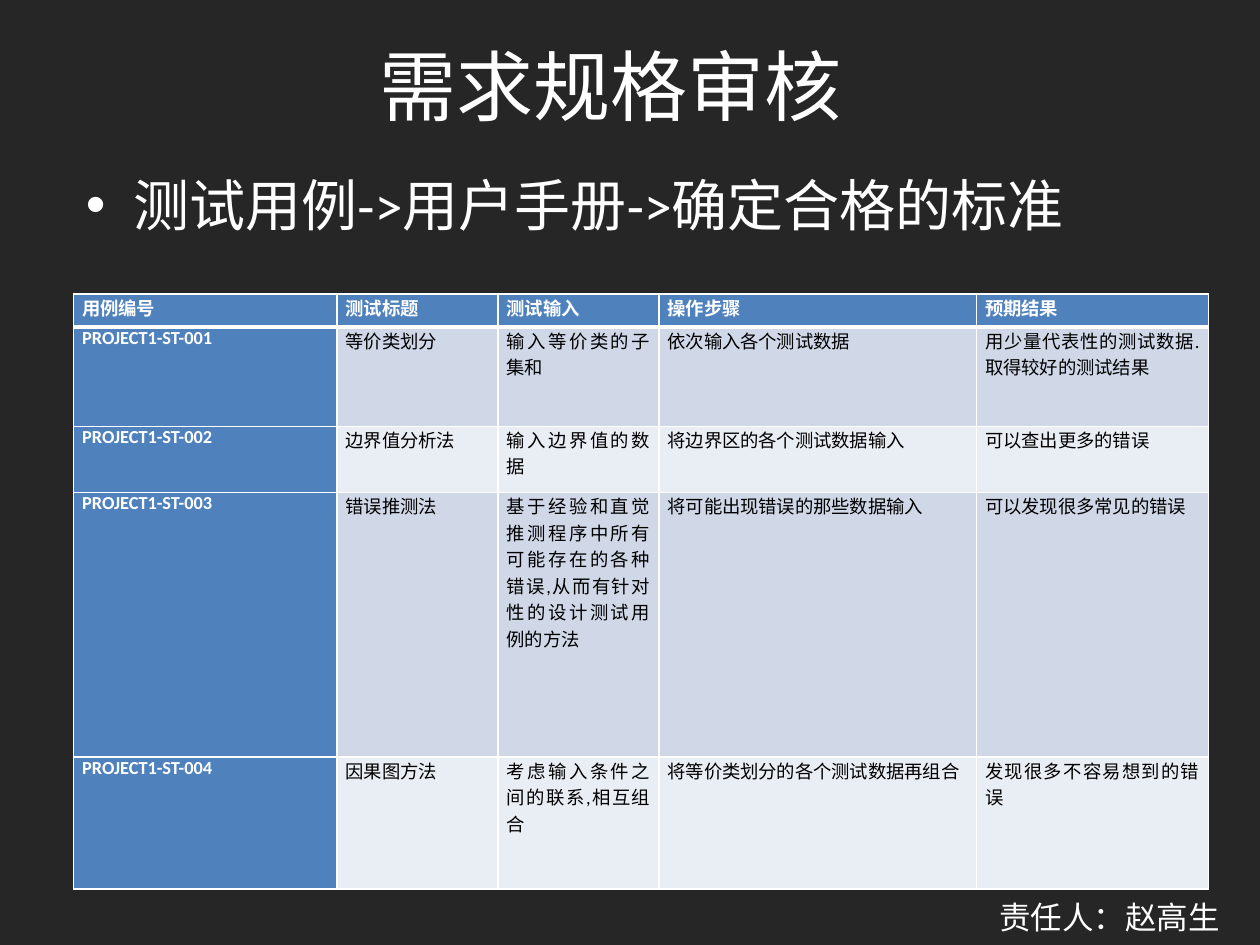
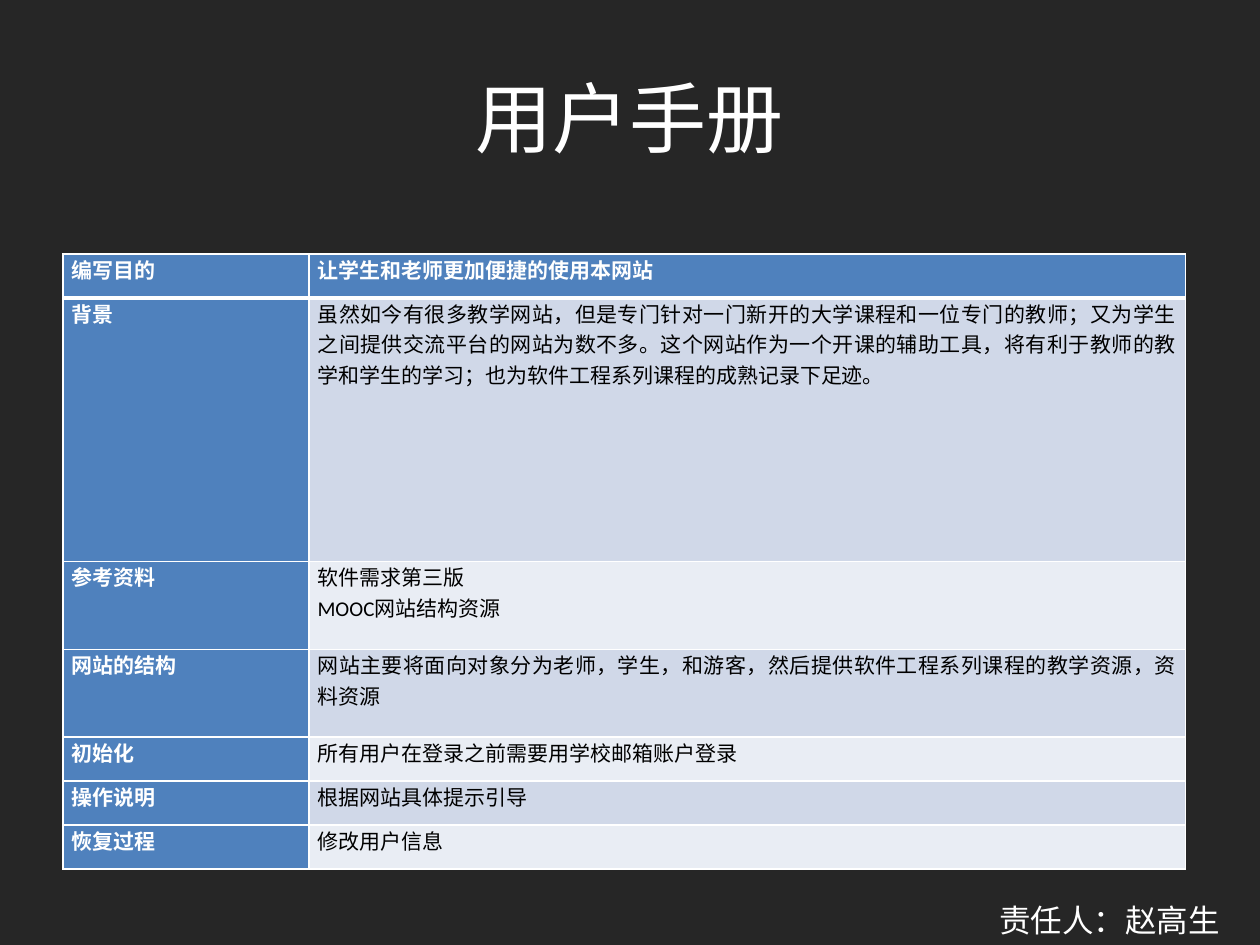
from dataclasses import dataclass

from lxml import etree
from pptx import Presentation
from pptx.dml.color import RGBColor
from pptx.enum.text import MSO_ANCHOR, PP_ALIGN
from pptx.oxml.ns import qn
from pptx.presentation import Presentation as Deck
from pptx.slide import Slide
from pptx.table import _Cell as Cell
from pptx.text.text import TextFrame
from pptx.util import Pt

CENTER = PP_ALIGN.CENTER
LEFT = PP_ALIGN.LEFT
JUSTIFY = PP_ALIGN.JUSTIFY
MIDDLE = MSO_ANCHOR.MIDDLE
TOP = MSO_ANCHOR.TOP


@dataclass(frozen=True)
class Theme:
    font: str = "Calibri"
    background: str = "262626"
    light_text: str = "FFFFFF"
    dark_text: str = "000000"
    border: str = "FFFFFF"
    heading_fill: str = "4F81BD"
    band_fills: tuple[str, str] = ("D0D8E8", "E9EDF4")
    title_size: float = 44
    body_size: float = 32
    footer_size: float = 18
    thin_line: float = 1
    thick_line: float = 3
    cell_margin: float = 5


THEME = Theme()


@dataclass(frozen=True)
class Label:
    """A line of light text with its place in points."""
    text: str
    left: float
    top: float
    width: float
    height: float
    size: float
    align: PP_ALIGN = LEFT
    anchor: MSO_ANCHOR = TOP


@dataclass(frozen=True)
class Grid:
    """A table whose row heights are whole multiples of one unit."""
    left: float
    top: float
    columns: list[float]
    row_unit: float
    row_units: list[int]
    text_size: float
    rows: list[list[str]]


def title(text: str, left: float, top: float) -> Label:
    return Label(text, left, top, 648, 90, THEME.title_size, CENTER, MIDDLE)


def footer(top: float) -> Label:
    return Label("责任人：赵高生", 564, top, 165.6, 29, THEME.footer_size)


def format_text(frame: TextFrame, size: float, color: str, align: PP_ALIGN,
                bold: bool = False) -> None:
    for para in frame.paragraphs:
        para.alignment = align
        for span in para.runs:
            span.font.name = THEME.font
            span.font.size = Pt(size)
            span.font.bold = bold
            span.font.color.rgb = RGBColor.from_string(color)


def add_label(page: Slide, label: Label) -> TextFrame:
    box = page.shapes.add_textbox(Pt(label.left), Pt(label.top),
                                  Pt(label.width), Pt(label.height))
    frame = box.text_frame
    frame.word_wrap = True
    frame.vertical_anchor = label.anchor
    frame.text = label.text
    format_text(frame, label.size, THEME.light_text, label.align)
    return frame


def add_bullet(frame: TextFrame, indent: float) -> None:
    for para in frame.paragraphs:
        properties = para._p.get_or_add_pPr()
        properties.set("marL", str(Pt(indent)))
        properties.set("indent", str(-Pt(indent)))
        font = etree.SubElement(properties, qn("a:buFont"))
        font.set("typeface", "Arial")
        etree.SubElement(properties, qn("a:buChar")).set("char", "•")


def set_borders(cell: Cell, top: float, bottom: float) -> None:
    widths = {"a:lnL": THEME.thin_line, "a:lnR": THEME.thin_line,
              "a:lnT": top, "a:lnB": bottom}
    properties = cell._tc.get_or_add_tcPr()
    for tag, width in widths.items():
        line = etree.SubElement(properties, qn(tag))
        line.set("w", str(Pt(width)))
        fill = etree.SubElement(line, qn("a:solidFill"))
        etree.SubElement(fill, qn("a:srgbClr")).set("val", THEME.border)


def style_cell(cell: Cell, row: int, column: int, size: float) -> None:
    """Make the first row and column headings and band the other cells."""
    is_heading = row == 0 or column == 0
    set_borders(cell,
                THEME.thick_line if row == 1 else THEME.thin_line,
                THEME.thick_line if row == 0 else THEME.thin_line)
    fill = THEME.heading_fill if is_heading else THEME.band_fills[(row - 1) % 2]
    cell.fill.solid()
    cell.fill.fore_color.rgb = RGBColor.from_string(fill)
    cell.margin_left = cell.margin_right = Pt(THEME.cell_margin)
    cell.margin_top = cell.margin_bottom = Pt(0)
    color = THEME.light_text if is_heading else THEME.dark_text
    format_text(cell.text_frame, size, color, JUSTIFY, is_heading)


def add_grid(page: Slide, grid: Grid) -> None:
    frame = page.shapes.add_table(
        len(grid.rows), len(grid.columns), Pt(grid.left), Pt(grid.top),
        Pt(sum(grid.columns)), Pt(grid.row_unit * sum(grid.row_units)))
    table = frame.table
    table.first_row = table.horz_banding = False
    for column, width in zip(table.columns, grid.columns):
        column.width = Pt(width)
    for row, units in zip(table.rows, grid.row_units):
        row.height = Pt(grid.row_unit * units)
    for row_index, texts in enumerate(grid.rows):
        for column_index, text in enumerate(texts):
            cell = table.cell(row_index, column_index)
            cell.text_frame.text = text
            style_cell(cell, row_index, column_index, grid.text_size)


TEST_CASES = Grid(
    42, 168, [150.5, 92, 92, 181.5, 132.5], 18.9, [1, 3, 2, 8, 4], 10.5,
    [
        ["用例编号", "测试标题", "测试输入", "操作步骤", "预期结果"],
        ["PROJECT1-ST-001", "等价类划分", "输入等价类的子集和",
         "依次输入各个测试数据", "用少量代表性的测试数据.取得较好的测试结果"],
        ["PROJECT1-ST-002", "边界值分析法", "输入边界值的数据",
         "将边界区的各个测试数据输入", "可以查出更多的错误"],
        ["PROJECT1-ST-003", "错误推测法",
         "基于经验和直觉推测程序中所有可能存在的各种错误,从而有针对性的设计测试用例的方法",
         "将可能出现错误的那些数据输入", "可以发现很多常见的错误"],
        ["PROJECT1-ST-004", "因果图方法", "考虑输入条件之间的联系,相互组合",
         "将等价类划分的各个测试数据再组合", "发现很多不容易想到的错误"],
    ])

USER_MANUAL = Grid(
    36, 145.2, [140.5, 501], 25.1, [1, 6, 2, 2, 1, 1, 1], 12,
    [
        ["编写目的", "让学生和老师更加便捷的使用本网站"],
        ["背景",
         "虽然如今有很多教学网站，但是专门针对一门新开的大学课程和一位专门的教师；"
         "又为学生之间提供交流平台的网站为数不多。这个网站作为一个开课的辅助工具，"
         "将有利于教师的教学和学生的学习；也为软件工程系列课程的成熟记录下足迹。"],
        ["参考资料", "软件需求第三版\nMOOC网站结构资源"],
        ["网站的结构",
         "网站主要将面向对象分为老师，学生，和游客，然后提供软件工程系列课程的教学资源，资料资源"],
        ["初始化", "所有用户在登录之前需要用学校邮箱账户登录"],
        ["操作说明", "根据网站具体提示引导"],
        ["恢复过程", "修改用户信息"],
    ])


def add_page(deck: Deck, heading: Label, grid: Grid, owner: Label) -> Slide:
    page = deck.slides.add_slide(deck.slide_layouts[6])
    page.background.fill.solid()
    page.background.fill.fore_color.rgb = RGBColor.from_string(THEME.background)
    add_label(page, heading)
    add_grid(page, grid)
    add_label(page, owner)
    return page


def main() -> None:
    deck = Presentation()
    deck.slide_width, deck.slide_height = Pt(720), Pt(540)

    review = add_page(deck, title("需求规格审核", 25.2, 3.6), TEST_CASES, footer(509.8))
    steps = Label("测试用例->用户手册->确定合格的标准", 42, 93.6, 648, 60, THEME.body_size)
    add_bullet(add_label(review, steps), 27)

    add_page(deck, title("用户手册", 36, 21.6), USER_MANUAL, footer(511.2))
    deck.save("out.pptx")


if __name__ == "__main__":
    main()
